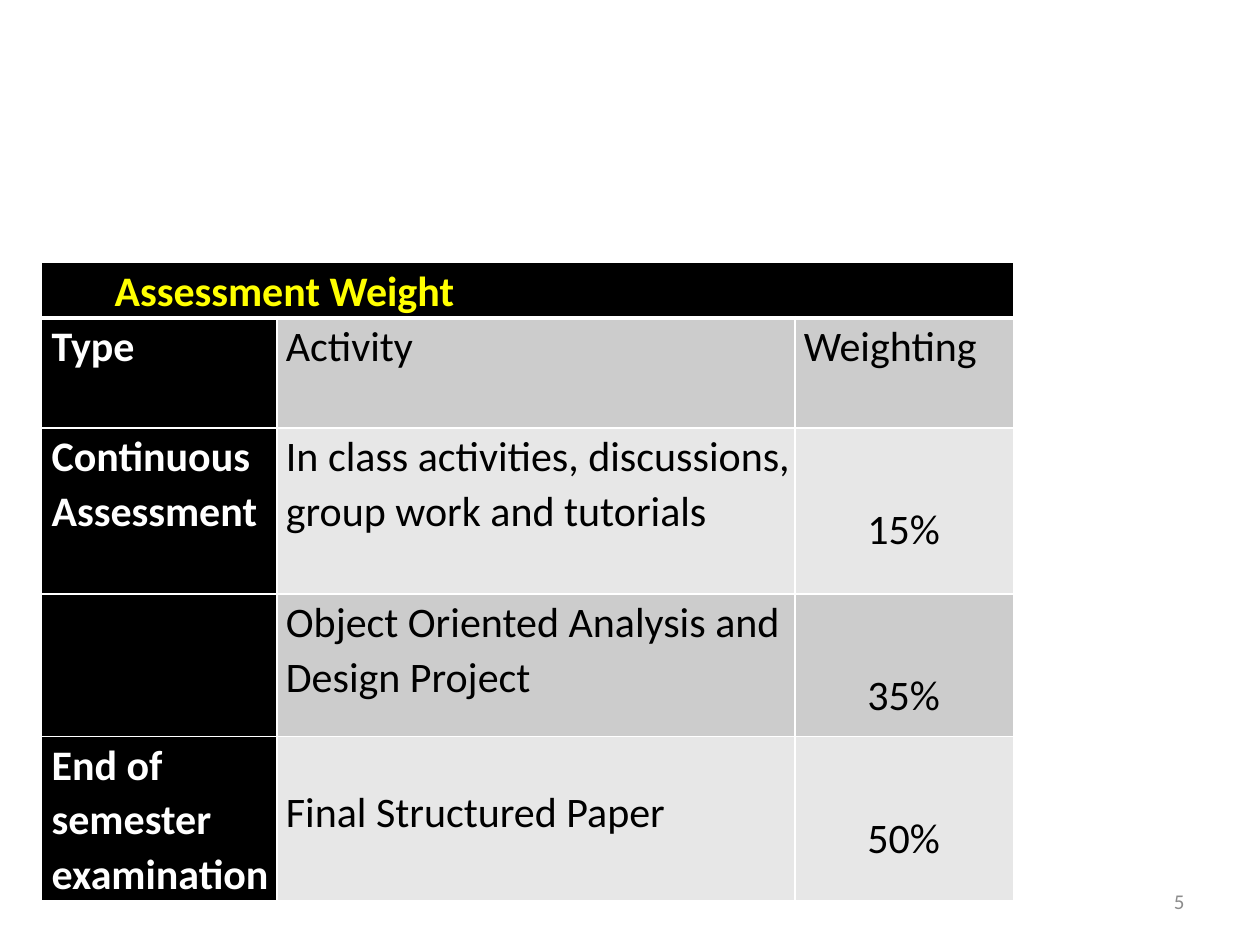
from dataclasses import dataclass

from lxml import etree
from pptx import Presentation
from pptx.dml.color import RGBColor
from pptx.enum.text import MSO_ANCHOR, PP_ALIGN
from pptx.oxml.ns import qn
from pptx.util import Inches, Pt

LEFT, CENTER, RIGHT = PP_ALIGN.LEFT, PP_ALIGN.CENTER, PP_ALIGN.RIGHT
MIDDLE = MSO_ANCHOR.MIDDLE
SLIDE_W, SLIDE_H = Inches(10), Inches(7.5)
COLUMNS = (1.87, 4.11, 1.74)
ROWS = (0.44, 0.87, 1.32, 1.13, 1.3)
TITLE = "Assessment Weight"
BODY = (
    ("Type", "Activity", "Weighting"),
    ("Continuous Assessment",
     "In class activities, discussions, group work and tutorials", "15% "),
    ("", "Object Oriented Analysis and Design Project", "35% "),
    ("End of semester examination", "Final Structured Paper", "50% "),
)


@dataclass(frozen=True)
class Theme:
    """Colours and type sizes of the slide."""
    font: str = "Calibri"
    table_size: float = 24
    number_size: float = 12
    title: str = "FFFF00"
    dark: str = "000000"
    light: str = "FFFFFF"
    bands: tuple = ("CCCCCC", "E7E7E7")
    number: str = "8C8C8C"


THEME = Theme()


def box(left, top, width, height):
    """Turn shares of the slide into a box of lengths."""
    return (int(SLIDE_W * left), int(SLIDE_H * top),
            int(SLIDE_W * width), int(SLIDE_H * height))


def write(tf, text, size=THEME.table_size, color=THEME.dark, bold=False,
          align=LEFT, spacing=1.07):
    """Write one formatted paragraph into a text frame."""
    tf.word_wrap = True
    p = tf.paragraphs[0]
    p.alignment, p.line_spacing = align, spacing
    p.font.size = Pt(size)
    if text:
        r = p.add_run()
        r.text = text
        r.font.name, r.font.size, r.font.bold = THEME.font, Pt(size), bold
        r.font.color.rgb = RGBColor.from_string(color)


def style_cell(cell, fill, indent=0.08, bottom=1):
    """Set the fill, margins and white borders of a cell."""
    cell.margin_left, cell.margin_right = Inches(indent), Inches(0.01)
    cell.margin_top = cell.margin_bottom = 0
    cell.fill.solid()
    cell.fill.fore_color.rgb = RGBColor.from_string(fill)
    tc_pr = cell._tc.get_or_add_tcPr()
    for i, side in enumerate("LRTB"):
        width = Pt(bottom if side == "B" else 1)
        ln = etree.Element(qn(f"a:ln{side}"), w=str(int(width)))
        solid = etree.SubElement(ln, qn("a:solidFill"))
        etree.SubElement(solid, qn("a:srgbClr"), val=THEME.light)
        tc_pr.insert(i, ln)


def add_weights(s, left, top, width, height):
    """Place the assessment table in its box."""
    table = s.shapes.add_table(len(ROWS), len(COLUMNS),
                               left, top, width, height).table
    for column, part in zip(table.columns, COLUMNS):
        column.width = int(width * part / sum(COLUMNS))
    for row, part in zip(table.rows, ROWS):
        row.height = int(height * part / sum(ROWS))
    for cell in table.rows[0].cells:
        style_cell(cell, THEME.dark, indent=0.58, bottom=3)
    table.cell(0, 0).merge(table.cell(0, len(COLUMNS) - 1))
    write(table.cell(0, 0).text_frame, TITLE, color=THEME.title, bold=True)

    for i, (kind, activity, weight) in enumerate(BODY):
        head, middle, last = table.rows[i + 1].cells
        band = THEME.bands[i % 2]
        style_cell(head, THEME.dark)
        write(head.text_frame, kind, color=THEME.light, bold=True)
        style_cell(middle, band, indent=0.07)
        write(middle.text_frame, activity,
              spacing=2 if i == len(BODY) - 1 else 1.07)
        style_cell(last, band, indent=0.07)
        write(last.text_frame, weight, align=CENTER if i else LEFT,
              spacing=2.5 if i else 1.07)


def add_number(s, left, top, width, height):
    """Place the slide number in its box."""
    tf = s.shapes.add_textbox(left, top, width, height).text_frame
    tf.vertical_anchor = MIDDLE
    write(tf, "5", size=THEME.number_size, color=THEME.number,
          align=RIGHT, spacing=1.0)


def main():
    """Build and save the slide."""
    prs = Presentation()
    prs.slide_width, prs.slide_height = SLIDE_W, SLIDE_H
    s = prs.slides.add_slide(prs.slide_layouts[6])
    add_weights(s, *box(0.033, 0.278, 0.772, 0.675))
    add_number(s, *box(0.717, 0.927, 0.233, 0.053))
    prs.save("out.pptx")


if __name__ == "__main__":
    main()
